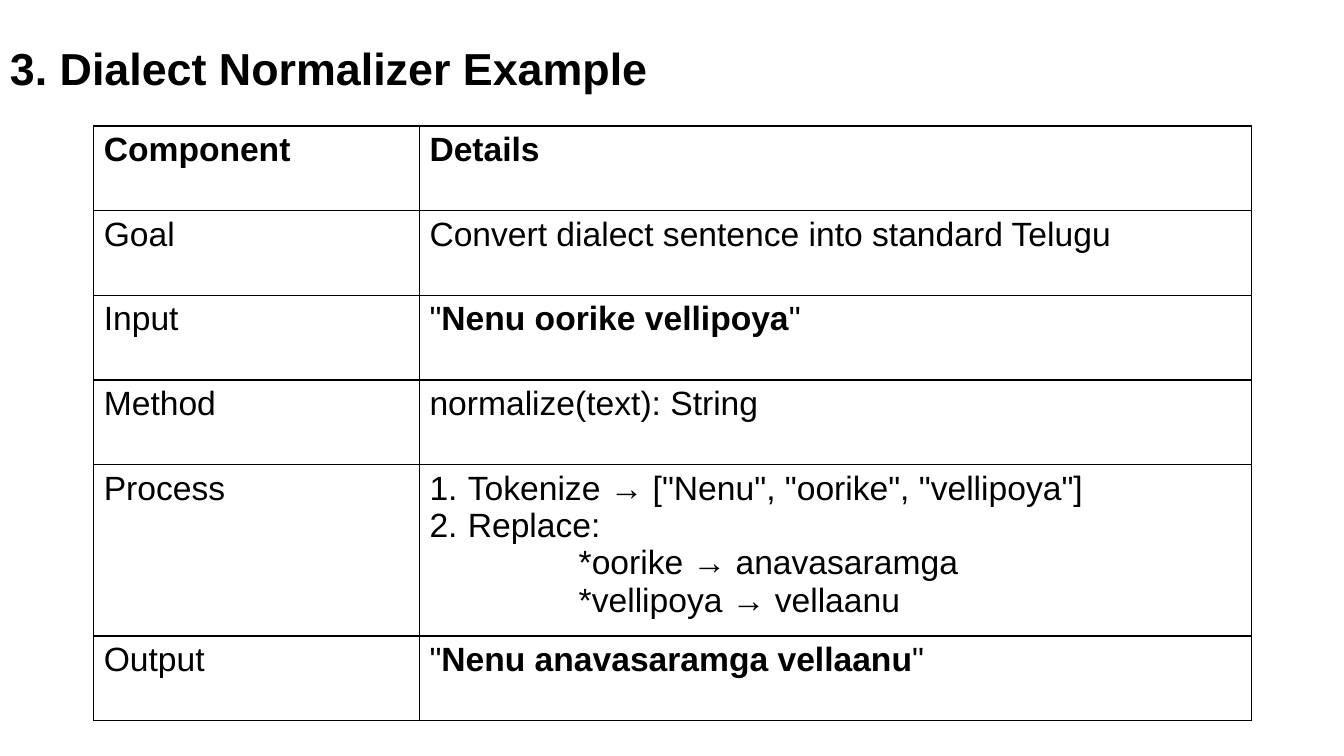
from pptx import Presentation, util as u
from pptx.dml.color import RGBColor
from pptx.enum import text
from pptx.oxml import xmlchemy as x

BLACK, WHITE = "000000", "FFFFFF"


def color(hex_value):
    return RGBColor.from_string(hex_value)


def write(p, content, size=24, bold=False, indent=0, numbered=False):
    """Fill a paragraph; text between ** marks switches to bold."""
    for i, part in enumerate(content.split("**")):
        if part:
            r = p.add_run()
            r.text = part
            r.font.name, r.font.size = "Arial", u.Pt(size)
            r.font.bold = bold or i % 2 == 1
            r.font.color.rgb = color(BLACK)
    pPr = p._p.get_or_add_pPr()
    if indent:
        pPr.set("marL", str(u.Inches(indent)))
    if numbered:
        pPr.set("indent", str(-u.Inches(indent)))
        bullet = x.OxmlElement("a:buAutoNum")
        bullet.set("type", "arabicPeriod")
        pPr.append(bullet)


prs = Presentation()
prs.slide_width, prs.slide_height = u.Inches(13.33), u.Inches(7.5)
s = prs.slides.add_slide(prs.slide_layouts[6])

# Table content: each detail is a list of (text, format) lines
step = dict(indent=0.38, numbered=True)
swap = dict(indent=1.48)
rows = [
    ("Component", [("Details", {})]),
    ("Goal", [("Convert dialect sentence into standard Telugu", {})]),
    ("Input", [('"**Nenu oorike vellipoya**"', {})]),
    ("Method", [("normalize(text): String", {})]),
    ("Process", [('Tokenize → ["Nenu", "oorike", "vellipoya"]', step),
                 ("Replace:", step),
                 ("*oorike → anavasaramga", swap),
                 ("*vellipoya → vellaanu", swap)]),
    ("Output", [('"**Nenu anavasaramga vellaanu**"', {})]),
]

# Table grid
widths = [3.23, 8.25]
heights = [1.7 if len(details) > 1 else 0.84 for _, details in rows]
table = s.shapes.add_table(len(rows), len(widths), u.Inches(0.93), u.Inches(1.25),
                           u.Inches(sum(widths)), u.Inches(sum(heights))).table
table.horz_banding = False
for column, width in zip(table.columns, widths):
    column.width = u.Inches(width)
for row, height in zip(table.rows, heights):
    row.height = u.Inches(height)

# Cells: text, borders, fill
for i, (component, details) in enumerate(rows):
    for j, lines in enumerate([[(component, {})], details]):
        cell = table.cell(i, j)
        tf = cell.text_frame
        for n, (line, fmt) in enumerate(lines):
            p = tf.add_paragraph() if n else tf.paragraphs[0]
            write(p, line, bold=i == 0, **fmt)
        tcPr = cell._tc.get_or_add_tcPr()
        for side in ("lnL", "lnR", "lnT", "lnB"):
            ln = x.OxmlElement(f"a:{side}")
            ln.set("w", str(u.Pt(1)))
            fill = x.OxmlElement("a:solidFill")
            clr = x.OxmlElement("a:srgbClr")
            clr.set("val", BLACK)
            fill.append(clr)
            ln.append(fill)
            tcPr.append(ln)
        cell.fill.solid()
        cell.fill.fore_color.rgb = color(WHITE)

# Title
sp = s.shapes.add_textbox(0, u.Inches(0.35), u.Inches(6.58), u.Inches(0.64))
tf = sp.text_frame
tf.word_wrap = False
tf.auto_size = text.MSO_AUTO_SIZE.SHAPE_TO_FIT_TEXT
write(tf.paragraphs[0], "3. Dialect Normalizer Example", size=32, bold=True)

prs.save("out.pptx")
